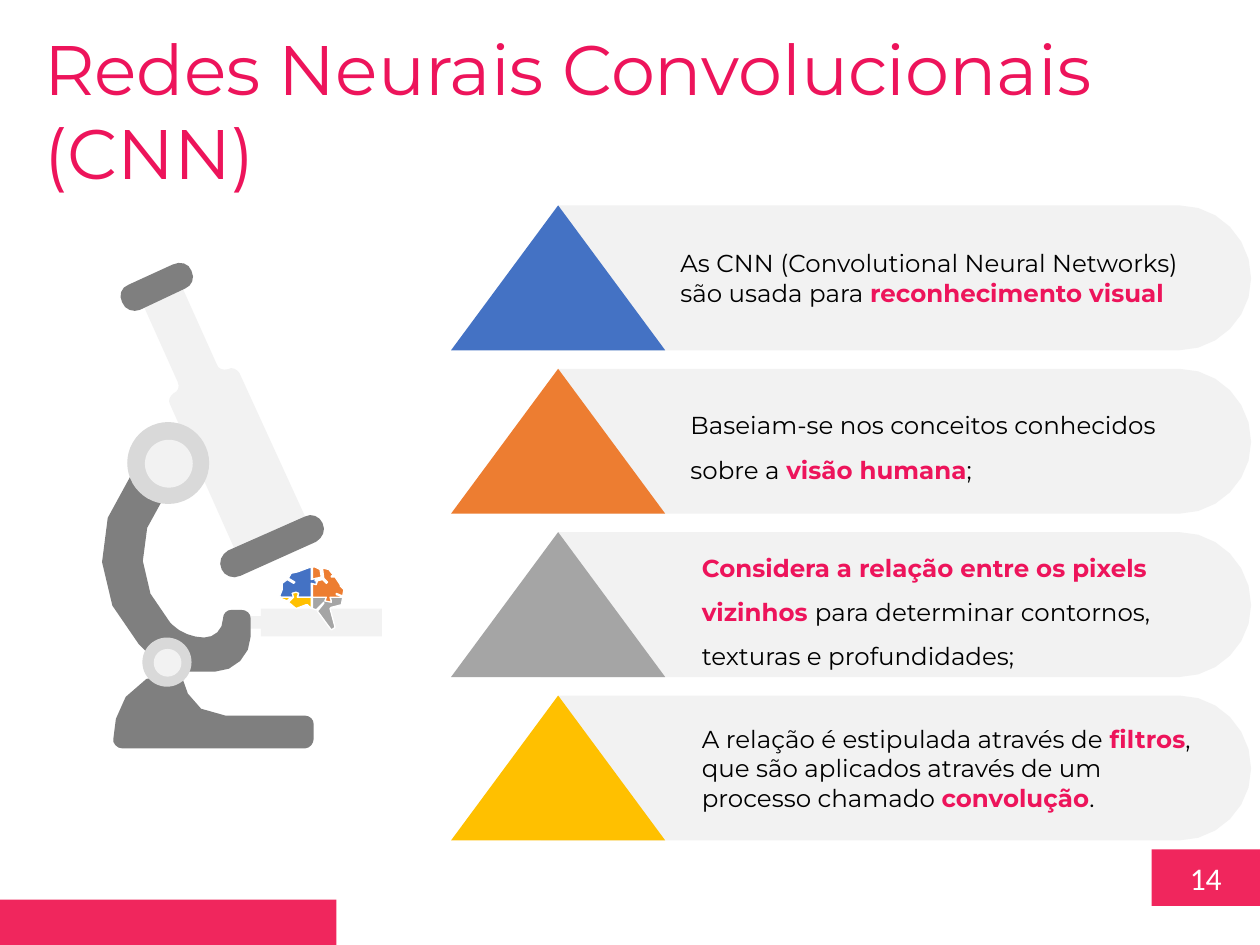
from pptx import Presentation
from pptx.dml.color import RGBColor
from pptx.enum.shapes import MSO_SHAPE
from pptx.enum.text import MSO_ANCHOR, MSO_AUTO_SIZE, PP_ALIGN
from pptx.util import Emu, Pt

RECT, OVAL, TRIANGLE = MSO_SHAPE.RECTANGLE, MSO_SHAPE.OVAL, MSO_SHAPE.ISOSCELES_TRIANGLE
TOP, MIDDLE = MSO_ANCHOR.TOP, MSO_ANCHOR.MIDDLE
LEFT, CENTER = PP_ALIGN.LEFT, PP_ALIGN.CENTER
GROW = MSO_AUTO_SIZE.SHAPE_TO_FIT_TEXT

PX = 9144
FONT = "Montserrat"
PINK, BANNER, BLACK, WHITE = "ED145B", "F0265D", "000000", "FFFFFF"
BLUE, ORANGE, GRAY, YELLOW = "4472C4", "ED7D31", "A5A5A5", "FFC000"
DARK, MID, LIGHT = "7F7F7F", "D9D9D9", "F2F2F2"

MICROSCOPE = [
    (LIGHT, "M 141,303 L 110,234 141,220 172,289 C 173,293 177,294 181,293 184,291 188,293 190,296 "
            "L 249,425 193,451 135,321 C 133,318 135,314 138,312 141,311 143,307 141,303 Z"),
    (DARK, "M 191,457 L 251,430 C 256,427 259,421 256,415 254,410 247,407 242,410 "
           "L 181,437 C 176,440 173,446 176,452 178,457 185,460 191,457 Z"),
    (DARK, "M 111,246 L 147,229 C 152,227 155,221 152,215 150,209 143,207 137,210 "
           "L 102,226 C 96,228 94,235 97,240 99,246 106,248 111,246 Z"),
    (LIGHT, "M 184,489 L 207,489 207,483 303,483 303,505 207,505 207,499 184,499 Z"),
    (DARK, "M 242,594 L 97,594 C 93,594 89,590 90,586 90,569 98,533 144,533 "
           "144,533 146,568 179,568 L 242,568 C 246,568 249,571 249,575 "
           "L 249,586 C 249,590 246,594 242,594 Z"),
    (DARK, "M 199,491 L 199,505 C 199,520 186,533 171,533 L 132,533 110,511 "
           "C 74,475 71,418 103,379 L 118,362 C 125,353 138,354 143,364 146,370 145,377 141,382 "
           "L 130,395 C 106,424 108,467 135,494 L 137,496 C 143,502 153,506 162,506 "
           "170,506 177,500 177,491 177,487 180,484 184,484 L 191,484 C 196,484 199,487 199,491 Z"),
]
KNOBS = [(101, 335, 65, MID), (115, 349, 38, LIGHT), (113, 506, 39, MID), (122, 515, 22, LIGHT)]

BRAIN = [
    (GRAY, "M 248,474 L 259,474 258,477 263,477 262,474 272,474 271,480 263,482 262,483 "
           "266,498 263,500 252,485 257,479 257,478 256,479 251,484 248,483 Z"),
    (ORANGE, "M 257,451 L 261,452 265,457 263,457 263,458 266,458 270,464 270,465 273,468 "
             "272,473 267,471 267,472 271,473 271,474 262,474 263,478 258,477 259,474 "
             "248,474 248,463 251,464 252,461 256,460 259,463 260,462 257,459 256,451 Z "
             "M 250,450 L 254,452 255,458 251,459 248,460 248,450 Z"),
    (BLUE, "M 247,450 L 247,460 251,459 250,461 251,461 251,464 247,463 247,474 236,474 "
           "237,471 232,471 233,474 231,474 223,474 222,473 224,468 224,463 228,460 "
           "233,463 234,462 229,459 231,455 236,454 244,451 Z"),
    (YELLOW, "M 223,474 L 231,474 228,477 223,475 Z "
             "M 235,470 L 237,471 236,474 247,474 247,483 244,480 243,480 235,483 "
             "229,478 233,474 232,471 Z"),
]

PILL = "M 443,0 L 936,0 C 967,0 993,26 993,58 993,89 967,115 936,115 L 429,115 Z"
ROW_TOP, ROW_STEP, ROW_H = 163, 129.67, 115
ROWS = [
    (BLUE, 540, 29, 57, 1.0, [("As CNN (Convolutional Neural Networks) são usada para ", False),
                              ("reconhecimento visual", True)]),
    (ORANGE, 548, 18, 77, 1.5, [("Baseiam-se nos conceitos conhecidos sobre a ", False),
                                ("visão humana", True), (";", False)]),
    (GRAY, 557, 19, 77, 1.5, [("Considera a relação entre os pixels vizinhos ", True),
                              ("para determinar contornos, texturas e profundidades;", False)]),
    (YELLOW, 557, 17, 81, 1.0, [("A relação é estipulada através de ", False), ("filtros", True),
                                (", que são aplicados através de um processo chamado ", False),
                                ("convolução", True), (".", False)]),
]


def px(n):
    return Emu(round(n * PX))


def rgb(color):
    return RGBColor.from_string(color)


def paint(sp, fill, line=None):
    sp.shadow.inherit = False
    sp.fill.solid()
    sp.fill.fore_color.rgb = rgb(fill)
    if line:
        sp.line.color.rgb = rgb(line)
        sp.line.width = Pt(0.75)
    else:
        sp.line.fill.background()


def add_preset(shapes, kind, x, y, w, h, fill):
    sp = shapes.add_shape(kind, px(x), px(y), px(w), px(h))
    paint(sp, fill)
    return sp


def bezier(points, t):
    weights = ((1 - t) ** 3, 3 * t * (1 - t) ** 2, 3 * t * t * (1 - t), t ** 3)
    return tuple(sum(w * p[axis] for w, p in zip(weights, points)) for axis in (0, 1))


def contour(text, steps):
    points, controls, command = [], [], ""
    for token in text.split():
        if token.isalpha():
            command = token
            continue
        point = tuple(int(n) for n in token.split(","))
        if command != "C":
            points.append(point)
            continue
        controls.append(point)
        if len(controls) == 3:
            curve = [points[-1]] + controls
            points += [bezier(curve, i / steps) for i in range(1, steps + 1)]
            controls = []
    return points


def add_outline(shapes, outline, fill, line=None, dy=0, steps=4):
    builder = None
    for part in outline.split("Z")[:-1]:
        points = [(px(x), px(y + dy)) for x, y in contour(part, steps)]
        if builder is None:
            builder = shapes.build_freeform(*points[0])
        else:
            builder.move_to(*points[0])
        builder.add_line_segments(points[1:], close=True)
    paint(builder.convert_to_shape(), fill, line)


def format_run(r, size, color, font=FONT, bold=False):
    r.font.size, r.font.name, r.font.bold = Pt(size), font, bold
    r.font.color.rgb = rgb(color)


def add_title(s):
    sp = s.shapes.title
    sp.left, sp.top, sp.width, sp.height = px(25), px(15), px(861), px(77)
    tf = sp.text_frame
    tf.text = "Redes Neurais Convolucionais (CNN)"
    tf.word_wrap, tf.auto_size, tf.vertical_anchor = True, GROW, TOP
    p = tf.paragraphs[0]
    p.alignment = LEFT
    format_run(p.runs[0], 40, PINK)


def add_row(shapes, y, color, x, dy, h, spacing, runs):
    add_outline(shapes, PILL, LIGHT, dy=y, steps=6)
    add_preset(shapes, TRIANGLE, 358, y, 170, ROW_H, color)
    tf = shapes.add_textbox(px(x), px(y + dy), px(408), px(h)).text_frame
    tf.word_wrap, tf.auto_size, tf.vertical_anchor = True, GROW, MIDDLE
    tf.margin_left = tf.margin_right = 0
    p = tf.paragraphs[0]
    p.line_spacing = spacing
    for text, key in runs:
        r = p.add_run()
        r.text = text
        format_run(r, 14, PINK if key else BLACK, bold=key)


def add_footer(s):
    tf = add_preset(s.shapes, RECT, 914, 674, 86, 45, BANNER).text_frame
    tf.text = "14"
    tf.vertical_anchor = MIDDLE
    tf.paragraphs[0].alignment = CENTER
    format_run(tf.paragraphs[0].runs[0], 18, WHITE, "Calibri")
    add_preset(s.shapes, RECT, 0, 714, 267, 36, BANNER)


def main():
    prs = Presentation()
    prs.slide_width, prs.slide_height = px(1000), px(750)
    s = prs.slides.add_slide(prs.slide_layouts[5])
    add_footer(s)
    add_title(s)
    microscope = s.shapes.add_group_shape().shapes
    for fill, outline in MICROSCOPE:
        add_outline(microscope, outline, fill)
    for x, y, size, fill in KNOBS:
        add_preset(microscope, OVAL, x, y, size, size, fill)
    rows = s.shapes.add_group_shape().shapes
    for i, row in enumerate(ROWS):
        add_row(rows, ROW_TOP + i * ROW_STEP, *row)
    brain = s.shapes.add_group_shape().shapes
    for fill, outline in BRAIN:
        add_outline(brain, outline, fill, WHITE)
    prs.save("out.pptx")


if __name__ == "__main__":
    main()
